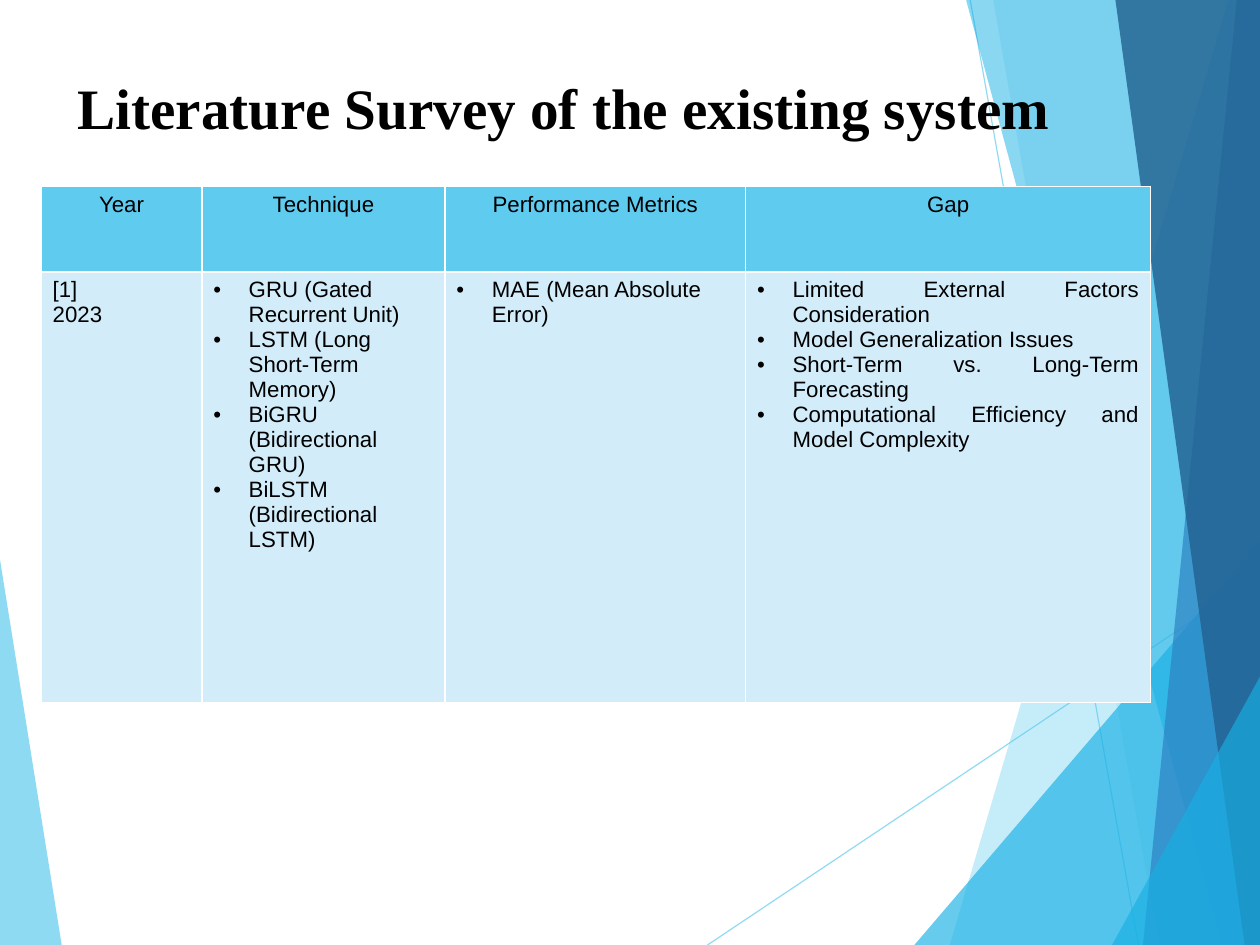
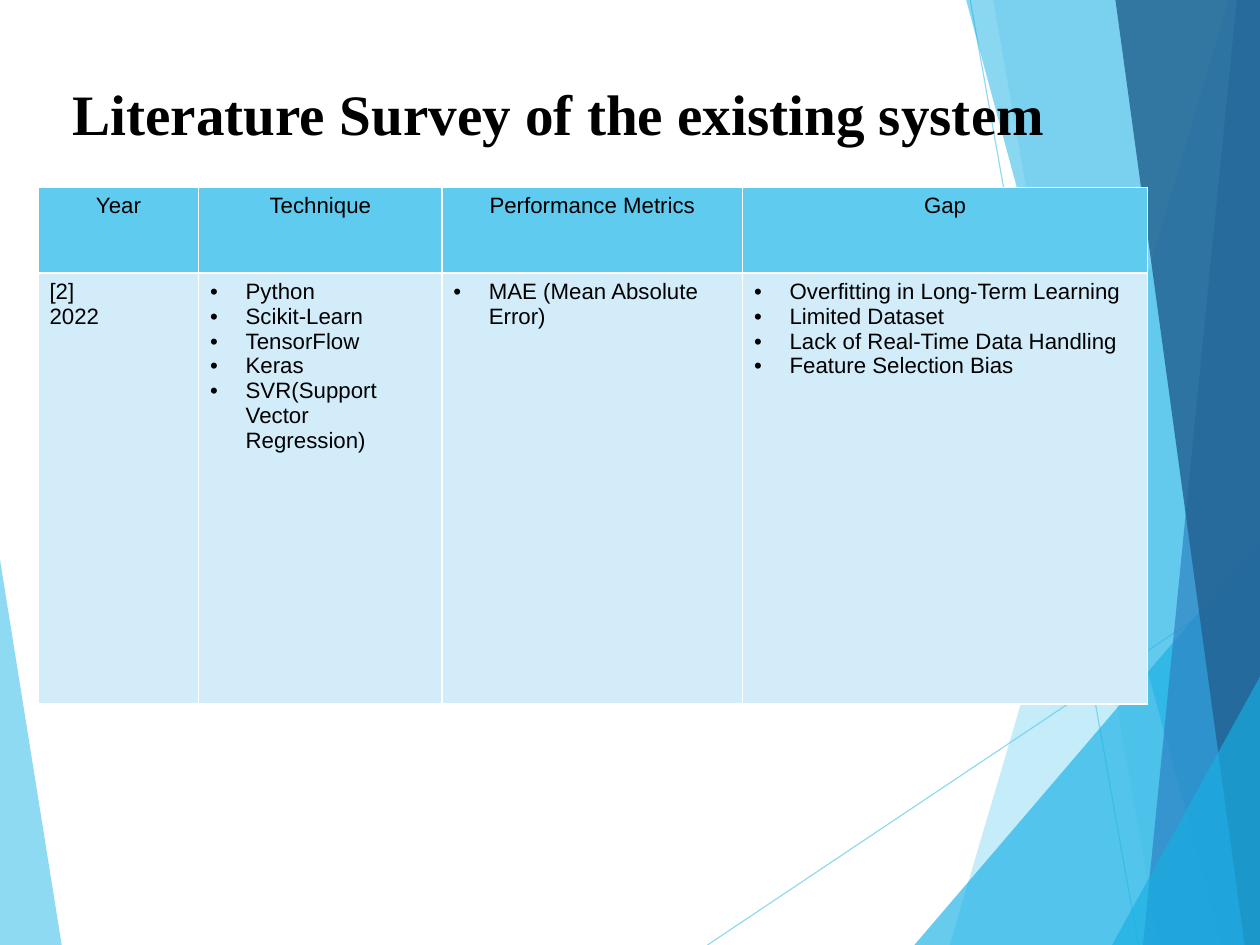
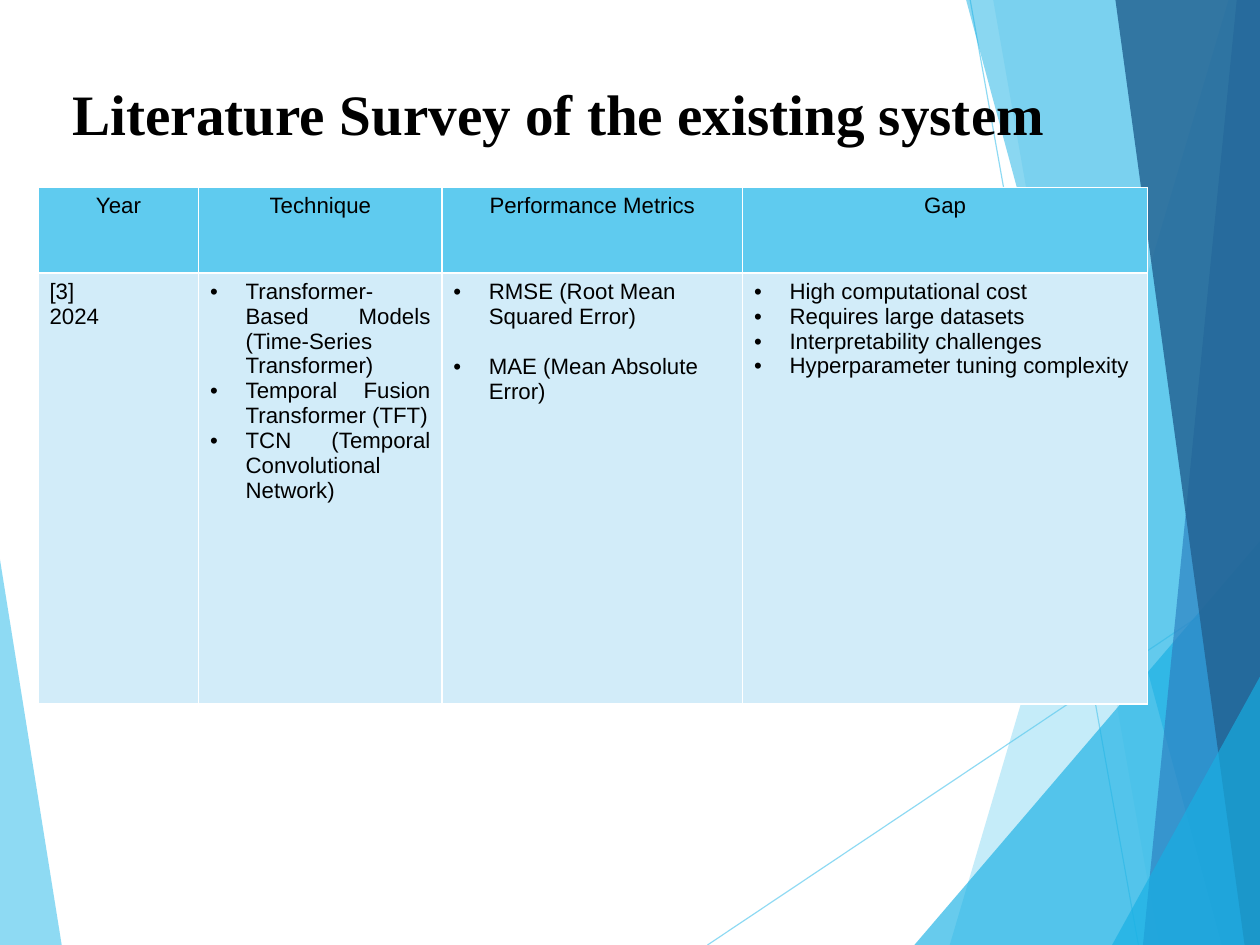
from lxml import etree
from pptx import Presentation, util as u
from pptx.dml.color import RGBColor
from pptx.enum import shapes, text
from pptx.oxml import ns

COLORS = {"sky": "5FCBEF", "cyan": "17B0E4", "blue": "2E83C3", "navy": "236292",
          "pale": "D2ECF9", "white": "FFFFFF", "black": "000000"}
LEFT, CENTER, JUSTIFY = text.PP_ALIGN.LEFT, text.PP_ALIGN.CENTER, text.PP_ALIGN.JUSTIFY

deck = Presentation()
deck.slide_width, deck.slide_height = u.Cm(28), u.Cm(21)
COL, ROW = deck.slide_width / 100, deck.slide_height / 100

TITLE = "Literature Survey of the existing system"
HEADINGS = ["Year", "Technique", "Performance Metrics", "Gap"]
COLUMN_WIDTHS = [12.75, 19.3, 23.87, 32.12]
ROW_HEIGHTS = [9.07, 45.59]

RAYS = [(56.15, 100, 100, 60.9), (77, 0, 90.35, 100)]
FACETS = [
    ("sky", 70, [(0, 59.2), (4.9, 100), (0, 100)]),
    ("sky", 36, [(97.51, 0), (75.38, 100), (100, 100), (100, 0)]),
    ("sky", 20, [(78.83, 0), (91.98, 100), (100, 100), (100, 0)]),
    ("cyan", 65, [(72.57, 100), (100, 57.25), (100, 100)]),
    ("cyan", 50, [(76.68, 0), (96.97, 100), (100, 100), (100, 0)]),
    ("blue", 70, [(98.15, 0), (90.71, 100), (100, 100), (100, 0)]),
    ("navy", 82, [(88.53, 0), (98.78, 100), (100, 100), (100, 0)]),
    ("cyan", 65, [(88.26, 100), (100, 71.6), (100, 100)]),
]

SURVEYS = [
    {"title_at": (6.17, 2.95), "table_at": (3.27, 19.72), "technique_align": LEFT,
     "year": ["[1]", "2023"],
     "technique": ["GRU (Gated Recurrent Unit)", "LSTM (Long Short-Term Memory)",
                   "BiGRU (Bidirectional GRU)", "BiLSTM (Bidirectional LSTM)"],
     "metrics": ["MAE (Mean Absolute Error)"],
     "gap": ["Limited External Factors Consideration", "Model Generalization Issues",
             "Short-Term vs. Long-Term Forecasting",
             "Computational Efficiency and Model Complexity"]},
    {"title_at": (5.77, 3.57), "table_at": (3.03, 19.84), "technique_align": JUSTIFY,
     "year": ["[2]", "2022"],
     "technique": ["Python", "Scikit-Learn", "TensorFlow", "Keras",
                   "SVR(Support Vector Regression)"],
     "metrics": ["MAE (Mean Absolute Error)"],
     "gap": ["Overfitting in Long-Term Learning", "Limited Dataset",
             "Lack of Real-Time Data Handling", "Feature Selection Bias"]},
    {"title_at": (5.77, 3.57), "table_at": (3.03, 19.84), "technique_align": JUSTIFY,
     "year": ["[3]", "2024"],
     "technique": ["Transformer-Based Models (Time-Series Transformer)",
                   "Temporal Fusion Transformer (TFT)",
                   "TCN (Temporal Convolutional Network)"],
     "metrics": ["RMSE (Root Mean Squared Error)", "MAE (Mean Absolute Error)"],
     "gap": ["High computational cost", "Requires large datasets",
             "Interpretability challenges", "Hyperparameter tuning complexity"]},
]


def write(frame, lines, font="Arial", size=14, bold=False, align=LEFT, bullet=False, gap=0):
    frame.word_wrap = True
    for number, line in enumerate(lines):
        paragraph = frame.add_paragraph() if number else frame.paragraphs[0]
        paragraph.alignment = align
        paragraph.space_after = u.Pt(gap)
        run = paragraph.add_run()
        run.text = line
        run.font.name, run.font.size, run.font.bold = font, u.Pt(size), bold
        run.font.color.rgb = RGBColor.from_string(COLORS["black"])
        if bullet:
            props = paragraph._p.get_or_add_pPr()
            props.set("marL", str(u.Inches(0.31)))
            props.set("indent", str(-u.Inches(0.31)))
            etree.SubElement(props, ns.qn("a:buFont"), typeface="Arial")
            etree.SubElement(props, ns.qn("a:buChar"), char="•")


def paint(color_format, owner, color, opacity):
    color_format.rgb = RGBColor.from_string(COLORS[color])
    for tint in owner._element.spPr.iter(ns.qn("a:srgbClr")):
        etree.SubElement(tint, ns.qn("a:alpha"), val=str(opacity * 1000))


for survey in SURVEYS:
    slide = deck.slides.add_slide(deck.slide_layouts[6])

    for x1, y1, x2, y2 in RAYS:
        ray = slide.shapes.add_connector(
            shapes.MSO_CONNECTOR.STRAIGHT,
            int(x1 * COL), int(y1 * ROW), int(x2 * COL), int(y2 * ROW))
        ray.line.width = u.Pt(0.75)
        paint(ray.line.color, ray, "sky", 70)
        etree.SubElement(ray._element.spPr, ns.qn("a:effectLst"))

    for color, opacity, corners in FACETS:
        points = [(int(x * COL), int(y * ROW)) for x, y in corners]
        outline = slide.shapes.build_freeform(*points[0])
        outline.add_line_segments(points[1:], close=True)
        facet = outline.convert_to_shape()
        facet.fill.solid()
        paint(facet.fill.fore_color, facet, color, opacity)
        facet.line.fill.background()
        facet.shadow.inherit = False

    left, top = survey["title_at"]
    title = slide.shapes.add_textbox(int(left * COL), int(top * ROW),
                                     int(89 * COL), int(16.69 * ROW)).text_frame
    title.margin_left = title.margin_right = title.margin_top = title.margin_bottom = 0
    title.vertical_anchor = text.MSO_ANCHOR.MIDDLE
    write(title, [TITLE], font="Times New Roman", size=36, bold=True)

    left, top = survey["table_at"]
    table = slide.shapes.add_table(
        2, len(HEADINGS), int(left * COL), int(top * ROW),
        int(sum(COLUMN_WIDTHS) * COL), int(sum(ROW_HEIGHTS) * ROW)).table
    for column, width in zip(table.columns, COLUMN_WIDTHS):
        column.width = int(width * COL)
    for row, height in zip(table.rows, ROW_HEIGHTS):
        row.height = int(height * ROW)

    for index, heading in enumerate(HEADINGS):
        write(table.cell(0, index).text_frame, [heading], align=CENTER)
    write(table.cell(1, 0).text_frame, survey["year"])
    write(table.cell(1, 1).text_frame, survey["technique"], bullet=True,
          align=survey["technique_align"])
    write(table.cell(1, 2).text_frame, survey["metrics"], bullet=True, gap=16)
    write(table.cell(1, 3).text_frame, survey["gap"], bullet=True, align=JUSTIFY)

    for row, color in zip(table.rows, ["sky", "pale"]):
        for cell in row.cells:
            cell.fill.solid()
            cell.fill.fore_color.rgb = RGBColor.from_string(COLORS[color])
            props = cell._tc.get_or_add_tcPr()
            for place, side in enumerate(["lnL", "lnR", "lnT", "lnB"]):
                border = etree.Element(ns.qn("a:" + side), w=str(u.Pt(1)))
                ink = etree.SubElement(border, ns.qn("a:solidFill"))
                etree.SubElement(ink, ns.qn("a:srgbClr"), val=COLORS["white"])
                props.insert(place, border)

deck.save("out.pptx")
